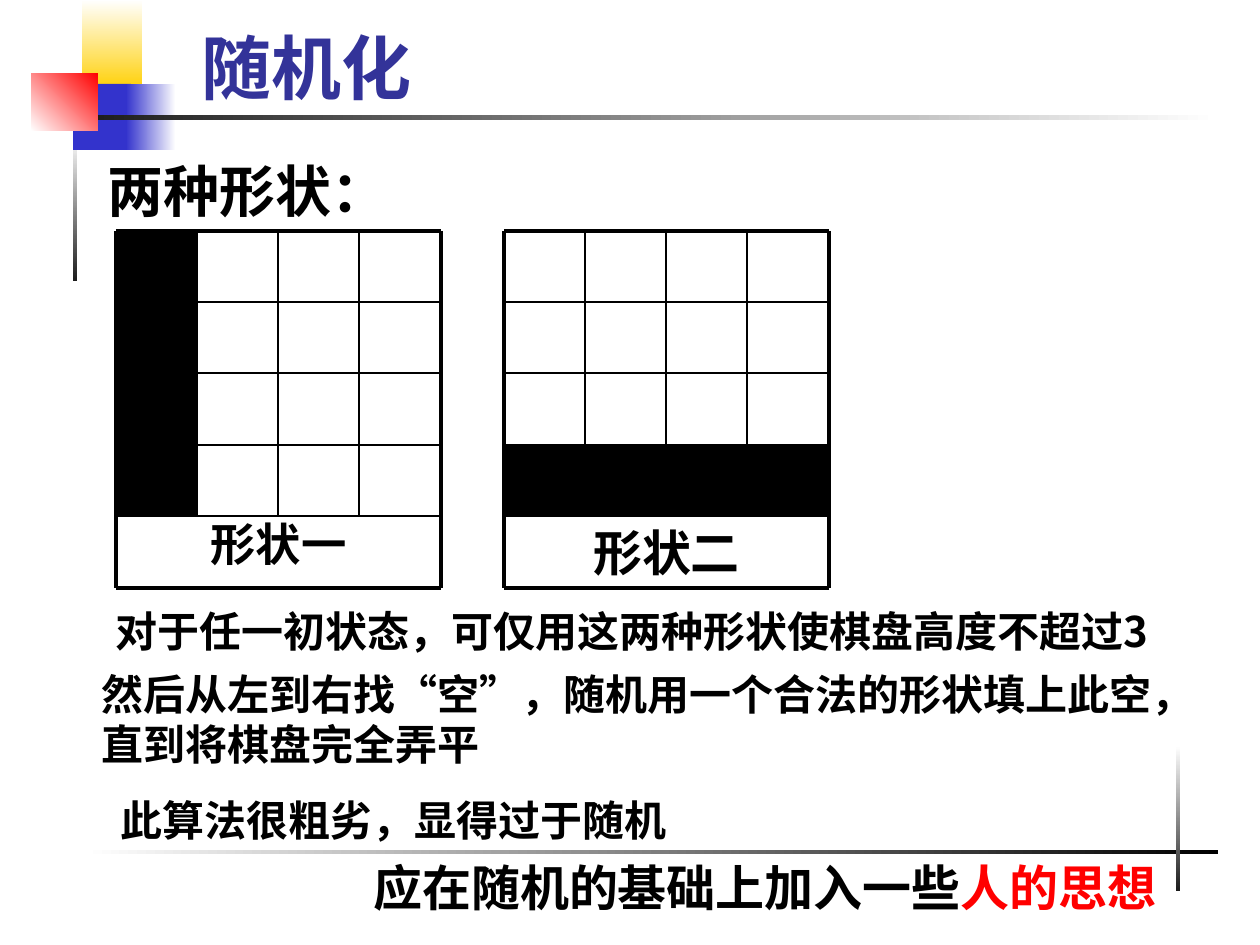
from lxml import etree
from pptx import Presentation, util as u
from pptx.dml.color import RGBColor
from pptx.enum import shapes, text
from pptx.oxml.ns import qn

SCALE = 914400 / 126  # EMU in one px


class Theme:
    ink, dark, white = "000000", "1C1C1C", "FFFFFF"
    blue, gold, red, title = "3333CC", "FFCF01", "FF0000", "333399"
    face, serif, east = "Cabin", "Times New Roman", "Noto Sans CJK SC"
    huge, large, mid, small, note = 40, 32, 28, 25.9, 24
    thick, thin = 2.25, 1


def px(*nums):
    return [u.Emu(round(n * SCALE)) for n in nums]


def rgb(code):
    return RGBColor.from_string(code)


def apply(item, **values):
    for name, value in values.items():
        setattr(item, name, value)


def add_rect(home, box, *colors, angle=0):
    """Add a borderless rectangle; two colours make a gradient, angle clockwise."""
    rect = home.add_shape(shapes.MSO_SHAPE.RECTANGLE, *px(*box))
    rect.shadow.inherit = False
    rect.line.fill.background()
    if len(colors) == 1:
        rect.fill.solid()
        rect.fill.fore_color.rgb = rgb(colors[0])
        return
    rect.fill.gradient()
    rect.fill.gradient_angle = (360 - angle) % 360
    for stop, color, place in zip(rect.fill.gradient_stops, colors, (0, 1)):
        stop.position = place
        stop.color.rgb = rgb(color)


def add_line(home, x1, y1, x2, y2, width):
    line = home.add_connector(shapes.MSO_CONNECTOR.STRAIGHT, *px(x1, y1, x2, y2))
    etree.SubElement(line._element.spPr, qn("a:effectLst"))
    line.line.width = u.Pt(width)
    line.line.color.rgb = rgb(Theme.ink)


def write(shape, lines, size, face=Theme.face, align="LEFT", anchor="TOP",
          wrap=True, spacing=1.0):
    """Fill a shape with lines, each a list of (wording, colour) runs."""
    frame = shape.text_frame
    fit = text.MSO_AUTO_SIZE
    apply(frame, word_wrap=wrap, auto_size=fit.NONE if wrap else fit.SHAPE_TO_FIT_TEXT,
          vertical_anchor=getattr(text.MSO_ANCHOR, anchor))
    for i, runs in enumerate(lines):
        para = frame.add_paragraph() if i else frame.paragraphs[0]
        apply(para, alignment=getattr(text.PP_ALIGN, align), line_spacing=spacing,
              space_before=u.Pt(0))
        for words, color in runs:
            run = para.add_run()
            run.text = words
            apply(run.font, name=face, size=u.Pt(size), bold=True)
            run.font.color.rgb = rgb(color)
            etree.SubElement(run._r.rPr, qn("a:ea"), typeface=Theme.east)


def place(shape, box):
    apply(shape, **dict(zip(("left", "top", "width", "height"), px(*box))))


def draw_trim(home, box):
    """Draw the blocks and fading rules around the edges of the box."""
    x, y, w, h = box
    t = Theme
    parts = [
        ((73, 136, 4, 145), (t.white, t.dark), 90),
        ((82, 0, 60, 91), (t.white, t.gold), 90),
        ((73, 84, 58, 66), (t.blue,), 0),
        ((126, 84, 50, 66), (t.white, t.blue), 180),
        ((84, 115, w - 126, 5), (t.white, t.dark), 180),
        ((84, h - 95, w - 126, 4), (t.ink, t.white), 180),
        ((w - 84, h - 199, 4, 145), (t.white, t.dark), 90),
        ((31, 73, 67, 58), (t.red, t.white), 135),
    ]
    for (left, top, wide, high), colors, angle in parts:
        add_rect(home, (x + left, y + top, wide, high), *colors, angle=angle)


def draw_board(home, box, label, size, spacing, cells):
    """Draw a 4 by 4 board with black cells (column, row) over a label row."""
    x, y, w, h = box
    cols = [x + w * i // 4 for i in range(5)]
    rows = [y + h * i // 5 for i in range(6)]
    parts = home.add_group_shape().shapes
    name = parts.add_textbox(*px(x, rows[4], w, rows[5] - rows[4]))
    write(name, [[(label, Theme.ink)]], size, align="CENTER", spacing=spacing)
    for c, r in cells:
        add_rect(parts, (cols[c], rows[r], cols[c + 1] - cols[c],
                         rows[r + 1] - rows[r]), Theme.ink)
    for top in rows:
        edge = top in (rows[0], rows[-1])
        add_line(parts, x, top, x + w, top, Theme.thick if edge else Theme.thin)
    for left in cols:
        edge = left in (cols[0], cols[-1])
        add_line(parts, left, y, left, rows[5 if edge else 4],
                 Theme.thick if edge else Theme.thin)


def draw_heads(slide, title, body):
    head, lead = slide.placeholders
    place(head, title)
    write(head, [[("随机化", Theme.title)]], Theme.huge, anchor="BOTTOM")
    place(lead, body)
    props = lead.text_frame.paragraphs[0]._p.get_or_add_pPr()
    for key in ("marL", "indent"):
        props.set(key, "0")
    etree.SubElement(props, qn("a:buNone"))
    write(lead, [[("两种形状：", Theme.ink)]], Theme.large, spacing=0.9)


def draw_notes(home, box):
    """Place the remarks in the box below the boards."""
    x, y = box[:2]
    t = Theme
    notes = [
        ((14, 0, 1085, 63), t.note, t.east,
         [[("对于任一初状态，可仅用这两种形状使棋盘高度不超过3", t.ink)]]),
        ((0, 63, 1116, 113), t.note, t.east,
         [[("然后从左到右找“空”，随机用一个合法的形状填上此空，", t.ink)],
          [("直到将棋盘完全弄平", t.ink)]]),
        ((272, 252, 808, 72), t.mid, t.serif,
         [[("应在随机的基础上加入一些", t.ink), ("人的思想", t.red)]]),
        ((19, 189, 571, 63), t.note, t.serif,
         [[("此算法很粗劣，显得过于随机", t.ink)]]),
    ]
    for (left, top, wide, high), size, face, lines in notes:
        note = home.add_textbox(*px(x + left, y + top, wide, high))
        write(note, lines, size, face, wrap=False)


def main():
    deck = Presentation()
    apply(deck, slide_width=u.Inches(10), slide_height=u.Inches(7.5))
    slide = deck.slides.add_slide(deck.slide_layouts[1])
    home = slide.shapes
    draw_trim(home, (0, 0, 1260, 945))
    draw_heads(slide, (189, 42, 998, 73), (95, 158, 1081, 73))
    draw_board(home, (116, 231, 325, 357), "形状一", Theme.small, 0.9,
               [(0, i) for i in range(4)])
    draw_board(home, (504, 231, 325, 357), "形状二", Theme.mid, 1.0,
               [(i, 3) for i in range(4)])
    draw_notes(home, (89, 599, 1116, 324))
    deck.save("out.pptx")


if __name__ == "__main__":
    main()
